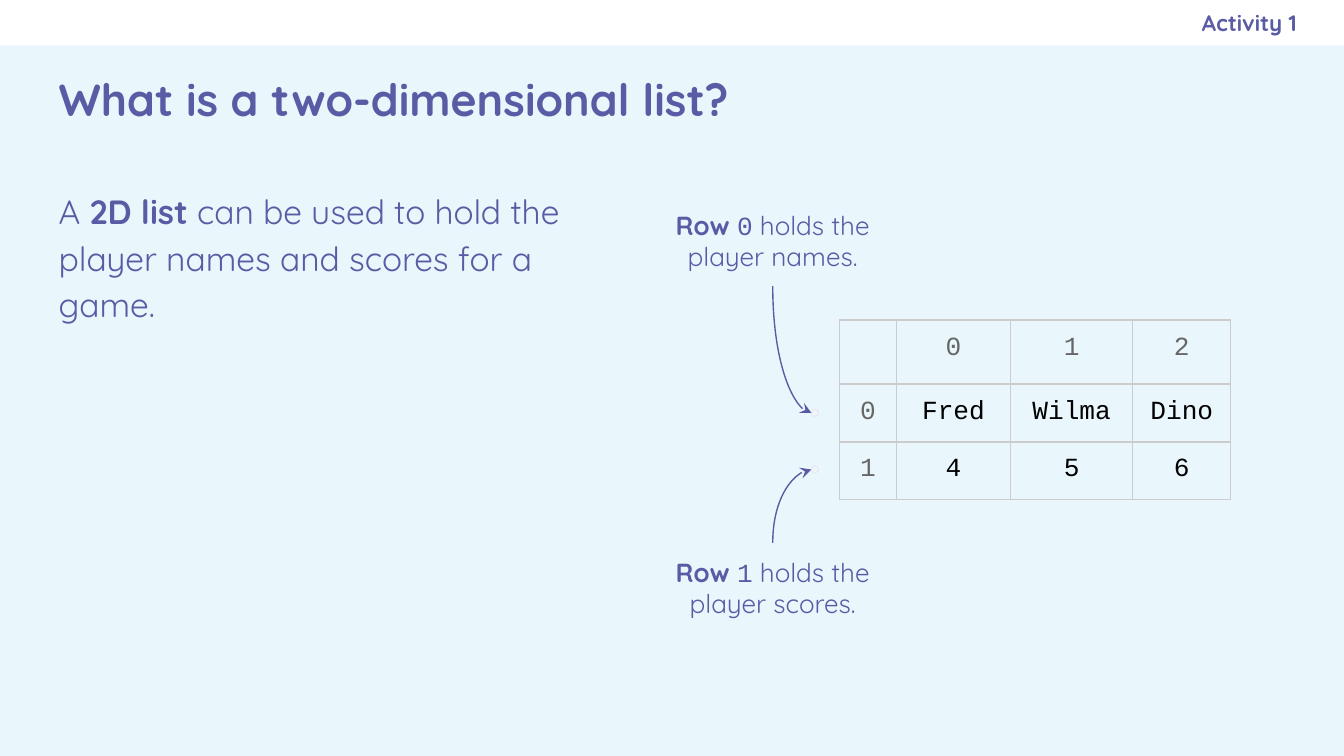
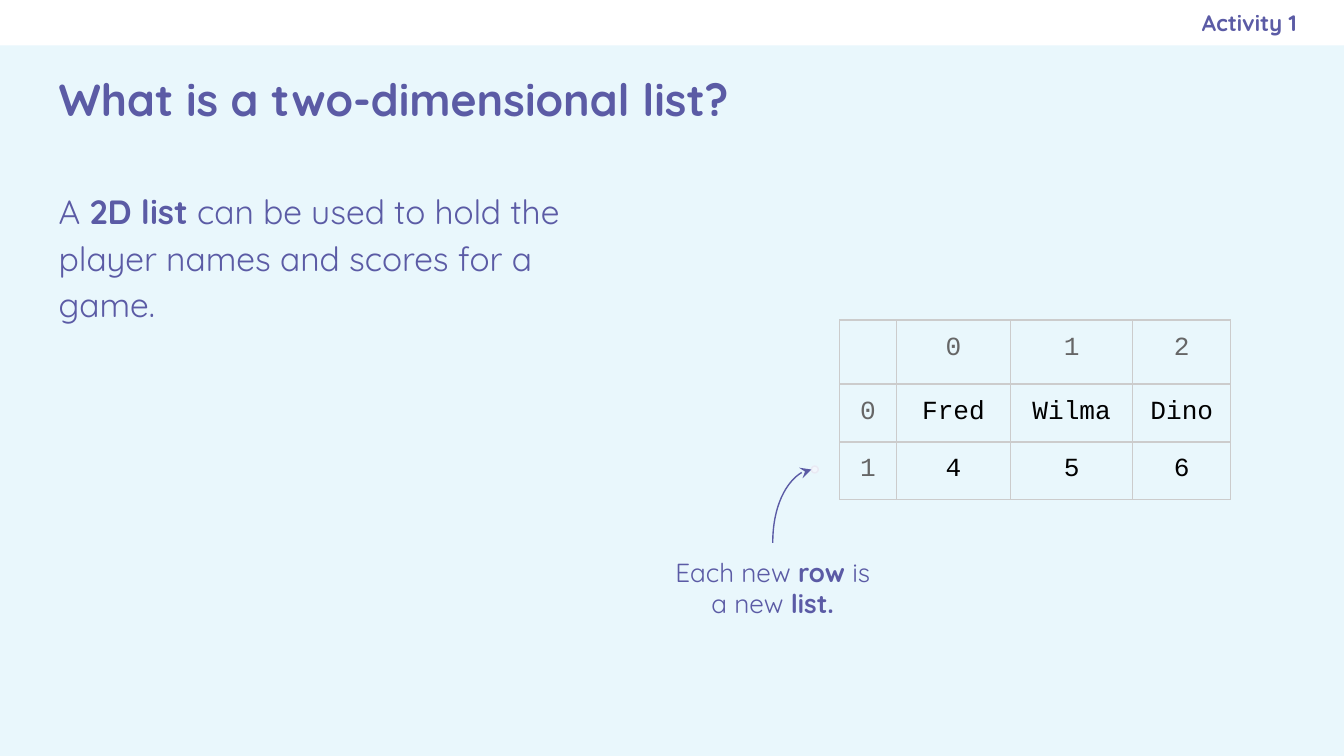
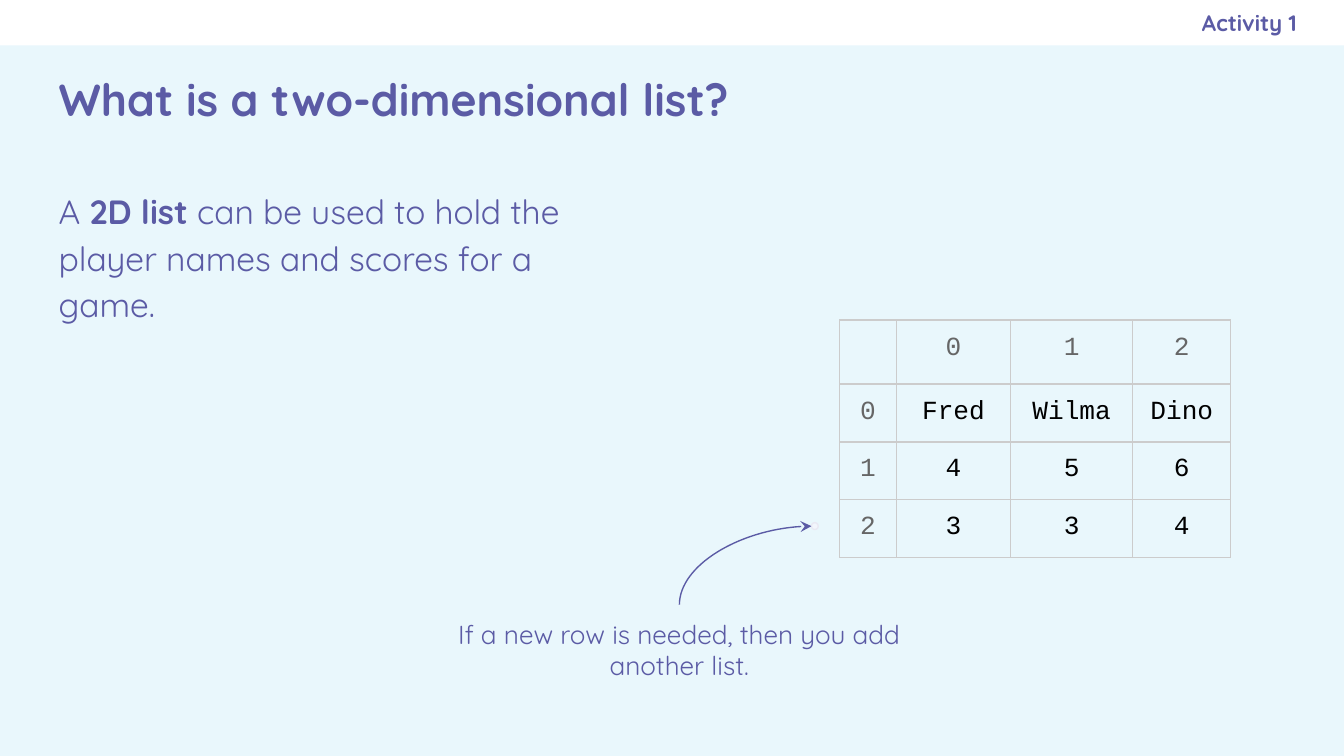
"""Build three slides that explain two-dimensional lists with a table of players and scores."""
from lxml.etree import SubElement
from pptx import Presentation
from pptx.dml.color import RGBColor
from pptx.enum.shapes import MSO_CONNECTOR, MSO_SHAPE
from pptx.enum.text import MSO_ANCHOR, PP_ALIGN
from pptx.oxml.ns import qn
from pptx.util import Cm, Pt

PURPLE = "5B5BA5"
PALE_BLUE = "E9F7FC"
WHITE = "FFFFFF"
BLACK = "000000"
GREY = "666666"
BORDER_GREY = "CCCCCC"
MARKER_FILL = "F2F6FC"
MARKER_LINE = "E9E9F3"
INSET = 0.25


def colour(hex_value):
    return RGBColor.from_string(hex_value)


def write(text_frame, runs, size, text_colour=PURPLE, align=PP_ALIGN.LEFT,
          anchor=MSO_ANCHOR.TOP, right_inset=INSET, line_spacing=None, space_after=None):
    text_frame.word_wrap = True
    text_frame.vertical_anchor = anchor
    text_frame.margin_left = text_frame.margin_top = text_frame.margin_bottom = Cm(INSET)
    text_frame.margin_right = Cm(right_inset)
    paragraph = text_frame.paragraphs[0]
    paragraph.alignment = align
    paragraph.line_spacing = line_spacing
    paragraph.space_after = space_after
    for text, style in runs:
        run = paragraph.add_run()
        run.text = text
        run.font.name = "Courier New" if style == "code" else "Quicksand"
        run.font.size = Pt(size)
        run.font.bold = style == "bold"
        run.font.color.rgb = colour(text_colour)


COLUMN_WIDTHS = [1.07, 2.16, 2.31, 1.85]
HEADER_HEIGHT = 1.21
ROW_HEIGHT = 1.07
TABLE_LEFT, TABLE_TOP = 15.87, 6.05
MARKER_CENTRE, MARKER_SIZE = 15.4, 0.13
FIRST_MARKER_TOP = 7.74
LABEL_HEIGHT = 1.7

header = ["", "0", "1", "2"]
names = ["0", "Fred", "Wilma", "Dino"]
scores = ["1", "4", "5", "6"]
new_scores = ["2", "3", "3", "4"]

# Each callout: list row, label left, label top, label width, label runs
slides = [
    ([header, names, scores], [
        (0, 12.37, 3.71, 4.47,
         [("Row ", "bold"), ("0", "code"), (" holds the player names.", "")]),
        (1, 12.37, 10.26, 4.47,
         [("Row ", "bold"), ("1", "code"), (" holds the player scores.", "")]),
    ]),
    ([header, names, scores], [
        (1, 12.37, 10.26, 4.47,
         [("Each new ", ""), ("row ", "bold"), ("is a new ", ""), ("list.", "bold")]),
    ]),
    ([header, names, scores, new_scores], [
        (2, 7.52, 11.43, 10.64,
         [("If a new row is needed, then you add another list.", "")]),
    ]),
]

presentation = Presentation()
presentation.slide_width = Cm(25.4)
presentation.slide_height = Cm(14.29)

for table_rows, callouts in slides:
    slide = presentation.slides.add_slide(presentation.slide_layouts[6])
    slide.background.fill.solid()
    slide.background.fill.fore_color.rgb = colour(PALE_BLUE)

    band = slide.shapes.add_shape(MSO_SHAPE.RECTANGLE, 0, 0, Cm(25.4), Cm(0.86))
    band.shadow.inherit = False
    band.fill.solid()
    band.fill.fore_color.rgb = colour(WHITE)
    band.line.fill.background()

    body = slide.shapes.add_textbox(Cm(0.86), Cm(3.25), Cm(11.38), Cm(10.16))
    write(body.text_frame,
          [("A ", ""), ("2D list", "bold"),
           (" can be used to hold the player names and scores for a game.", "")],
          size=18, line_spacing=1.15, space_after=Pt(16))
    title = slide.shapes.add_textbox(Cm(0.86), Cm(0.89), Cm(23.67), Cm(1.93))
    write(title.text_frame, [("What is a two-dimensional list?", "bold")],
          size=24, anchor=MSO_ANCHOR.MIDDLE)
    activity = slide.shapes.add_textbox(Cm(14.6), 0, Cm(9.91), Cm(0.86))
    write(activity.text_frame, [("Activity 1", "bold")], size=12, align=PP_ALIGN.RIGHT,
          anchor=MSO_ANCHOR.MIDDLE, right_inset=0)

    table_height = HEADER_HEIGHT + ROW_HEIGHT * (len(table_rows) - 1)
    table = slide.shapes.add_table(
        len(table_rows), len(COLUMN_WIDTHS), Cm(TABLE_LEFT), Cm(TABLE_TOP),
        Cm(sum(COLUMN_WIDTHS)), Cm(table_height)).table
    table.first_row = table.horz_banding = False
    for column, width in zip(table.columns, COLUMN_WIDTHS):
        column.width = Cm(width)
    for row_index, values in enumerate(table_rows):
        table.rows[row_index].height = Cm(ROW_HEIGHT if row_index else HEADER_HEIGHT)
        for column_index, value in enumerate(values):
            cell = table.cell(row_index, column_index)
            cell.margin_left = cell.margin_right = Cm(INSET)
            cell.margin_top = cell.margin_bottom = Cm(INSET)
            paragraph = cell.text_frame.paragraphs[0]
            paragraph.text = value
            paragraph.alignment = PP_ALIGN.CENTER
            paragraph.font.name = "Courier New"
            paragraph.font.size = Pt(14)
            is_value = row_index and column_index
            paragraph.font.color.rgb = colour(BLACK if is_value else GREY)
            properties = cell._tc.get_or_add_tcPr()
            for side in ("lnL", "lnR", "lnT", "lnB"):
                border = SubElement(properties, qn(f"a:{side}"), w=str(Pt(0.75)))
                border_fill = SubElement(border, qn("a:solidFill"))
                SubElement(border_fill, qn("a:srgbClr"), val=BORDER_GREY)
            cell.fill.background()

    for list_row, label_left, label_top, label_width, runs in callouts:
        marker_top = FIRST_MARKER_TOP + ROW_HEIGHT * list_row
        marker = slide.shapes.add_shape(
            MSO_SHAPE.OVAL, Cm(MARKER_CENTRE - MARKER_SIZE / 2), Cm(marker_top),
            Cm(MARKER_SIZE), Cm(MARKER_SIZE))
        marker.shadow.inherit = False
        marker.fill.solid()
        marker.fill.fore_color.rgb = colour(MARKER_FILL)
        marker.line.color.rgb = colour(MARKER_LINE)
        marker.line.width = Pt(0.75)

        label = slide.shapes.add_textbox(
            Cm(label_left), Cm(label_top), Cm(label_width), Cm(LABEL_HEIGHT))
        write(label.text_frame, runs, size=14, align=PP_ALIGN.CENTER)

        start_x = label_left + label_width / 2
        start_y = label_top + LABEL_HEIGHT if label_top < marker_top else label_top
        end_x = MARKER_CENTRE - MARKER_SIZE / 2
        end_y = marker_top + MARKER_SIZE / 2
        middle_x, middle_y = (start_x + end_x) / 2, (start_y + end_y) / 2
        half_width, half_height = (end_x - start_x) / 2, (end_y - start_y) / 2
        arrow = slide.shapes.add_connector(
            MSO_CONNECTOR.CURVE,
            Cm(middle_x + half_height), Cm(middle_y - half_width),
            Cm(middle_x - half_height), Cm(middle_y + half_width))
        arrow.line.color.rgb = colour(PURPLE)
        arrow.line.width = Pt(0.75)
        shape_properties = arrow._element.spPr
        shape_properties.find(qn("a:xfrm")).set("rot", str(270 * 60000))
        shape_properties.find(qn("a:prstGeom")).set("prst", "curvedConnector2")
        SubElement(shape_properties.find(qn("a:ln")), qn("a:tailEnd"), type="stealth")
        SubElement(shape_properties, qn("a:effectLst"))

presentation.save("out.pptx")
